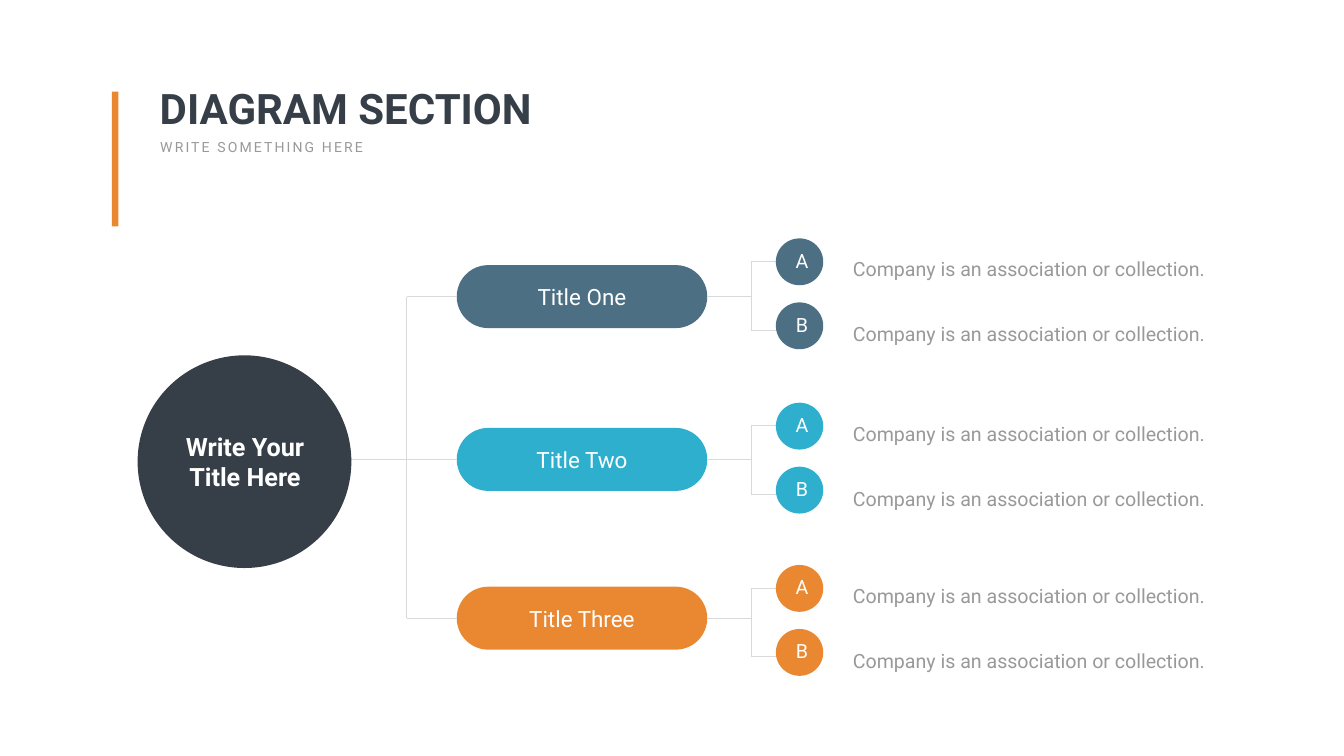
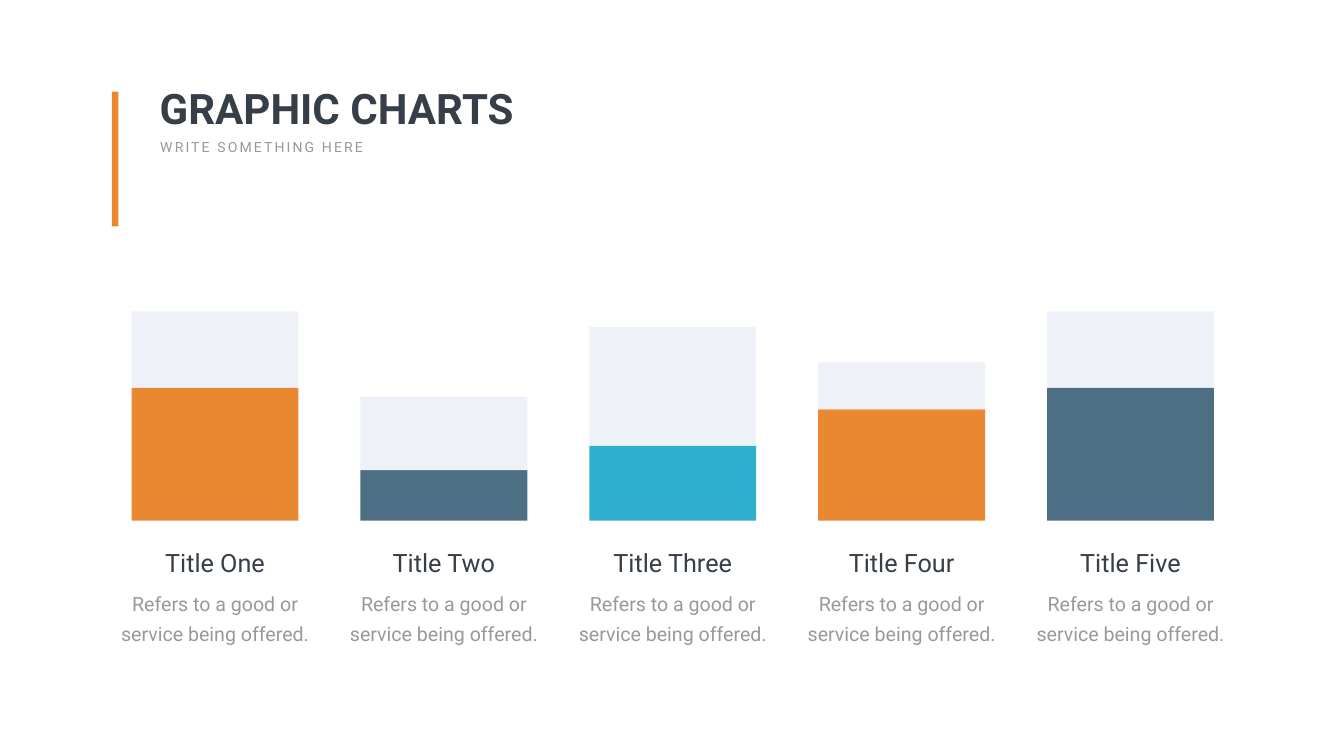
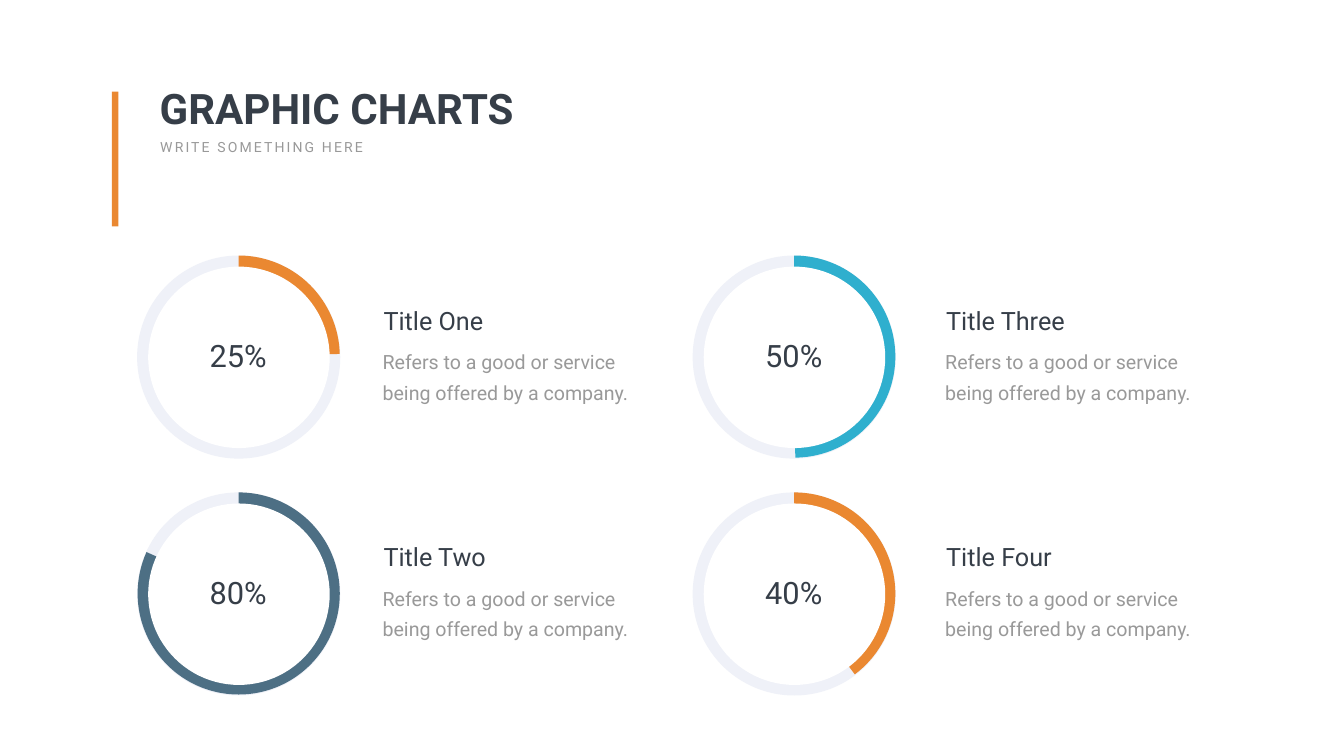
from lxml.etree import SubElement
from pptx import Presentation
from pptx.dml.color import RGBColor
from pptx.enum.shapes import MSO_CONNECTOR, MSO_SHAPE
from pptx.enum.text import MSO_AUTO_SIZE, PP_ALIGN
from pptx.oxml.ns import qn
from pptx.util import Emu, Pt

PX = 9144  # 100 px to the inch
FONT = "Roboto"
DARK = RGBColor(0x36, 0x3E, 0x48)
GREY = RGBColor(0x99, 0x99, 0x99)
RULE = RGBColor(0xD9, 0xD9, 0xD9)
PALE = RGBColor(0xEF, 0xF1, 0xF8)
WHITE = RGBColor(0xFF, 0xFF, 0xFF)
ORANGE = RGBColor(0xEA, 0x88, 0x31)
SLATE = RGBColor(0x4D, 0x6F, 0x84)
CYAN = RGBColor(0x2F, 0xAF, 0xCE)

# Text styles shared by the slides
TITLE = dict(size=Pt(60), bold=True, color=DARK)
SUBTITLE = dict(size=Pt(20), color=GREY)
HUB = dict(size=Pt(36), bold=True, color=WHITE)
PILL = dict(size=Pt(32), color=WHITE)
LETTER = dict(size=Pt(28), color=WHITE)
HEADING = dict(size=Pt(36), color=DARK)
PERCENT = dict(size=Pt(44), color=DARK)
BODY = dict(size=Pt(28), color=GREY)


def px(*lengths):
    return [Emu(round(n * PX)) for n in lengths]


def add_shape(s, kind, box, color):
    sp = s.shapes.add_shape(kind, *px(*box))
    sp.shadow.inherit = False
    sp.fill.solid()
    sp.fill.fore_color.rgb = color
    sp.line.fill.background()
    return sp


def add_text(s, box, text, style, align=PP_ALIGN.LEFT, wrap=True,
             spacing=None, track=0, inset=(10, 5)):
    tf = s.shapes.add_textbox(*px(*box)).text_frame
    dx, dy = px(*inset)
    frame = dict(word_wrap=wrap, auto_size=MSO_AUTO_SIZE.SHAPE_TO_FIT_TEXT,
                 margin_left=dx, margin_right=dx, margin_top=dy, margin_bottom=dy)
    for name, value in frame.items():
        setattr(tf, name, value)
    p = tf.paragraphs[0]
    p.alignment = align
    if spacing:
        p.line_spacing = spacing
    r = p.add_run()
    r.text = text
    r.font.name = FONT
    for name, value in style.items():
        if name == "color":
            r.font.color.rgb = value
        else:
            setattr(r.font, name, value)
    if track:
        r._r.get_or_add_rPr().set("spc", str(track * 100))


def add_line(s, x1, y1, x2, y2, width, begin=None, end=None):
    c = s.shapes.add_connector(MSO_CONNECTOR.STRAIGHT, *px(x1, y1, x2, y2))
    c.line.color.rgb = RULE
    c.line.width = Pt(width)
    SubElement(c._element.spPr, qn("a:effectLst"))
    if begin:
        c.begin_connect(*begin)
    if end:
        c.end_connect(*end)


def add_titled_slide(prs, title):
    s = prs.slides.add_slide(prs.slide_layouts[6])
    add_text(s, (307, 159, 1039, 111), title, TITLE)
    add_text(s, (308, 270, 435, 44), "WRITE SOMETHING HERE", SUBTITLE,
             wrap=False, track=3)
    add_shape(s, MSO_SHAPE.RECTANGLE, (222, 182, 13, 267), ORANGE)
    return s


def add_caption(s, x, y, w, heading, heading_w, body, align):
    """Heading with a paragraph beneath; the heading is inset from the body box."""
    inset = (w - heading_w) / 2 if align == PP_ALIGN.CENTER else 16
    add_text(s, (x, y + 70, w, 139), body, BODY, align, spacing=Pt(43), inset=(24, 12))
    add_text(s, (x + inset, y, heading_w, 71), heading, HEADING, align)


def add_branch(s, pill_y, node_y, title, color, trunk_x):
    """One pill with its two lettered nodes."""
    left, width, height = 906, 497, 125
    mid, right, fork = pill_y + height / 2, left + width, 1490
    pill = add_shape(s, MSO_SHAPE.ROUNDED_RECTANGLE, (left, pill_y, width, height), color)
    pill.adjustments[0] = 0.5
    add_text(s, (left + 50, pill_y + 31, width - 100, 64), title, PILL, PP_ALIGN.CENTER)

    # Lines into and out of the pill
    add_line(s, trunk_x, mid, left, mid, 1, end=(pill, 1))
    add_line(s, right, mid, fork, mid, 1.5, begin=(pill, 3))
    add_line(s, fork, node_y + 46, fork, node_y + 182, 1.5)

    # Lettered nodes
    for i, letter in enumerate("AB"):
        y = node_y + 127 * i
        line_y = node_y + 46 + 136 * i
        add_line(s, fork, line_y, 1575, line_y, 1.5)
        add_shape(s, MSO_SHAPE.OVAL, (1539, y, 94, 93), color)
        add_text(s, (1564, y + 15, 54, 57), letter, LETTER, PP_ALIGN.CENTER,
                 wrap=False, track=6)
        add_text(s, (1682, node_y + 9 + 129 * i, 743, 73),
                 "Company is an association or collection.", BODY, spacing=1.5)
    return mid


def build_diagram(prs):
    s = add_titled_slide(prs, "DIAGRAM SECTION")
    trunk_x = 807
    branches = [(526, 473, "Title One", SLATE),
                (849, 799, "Title Two", CYAN),
                (1164, 1121, "Title Three", ORANGE)]
    mids = [add_branch(s, *branch, trunk_x) for branch in branches]
    add_line(s, trunk_x, mids[0], trunk_x, mids[-1], 1)
    add_line(s, 637, mids[1], trunk_x, mids[1], 1)
    # Hub
    add_shape(s, MSO_SHAPE.OVAL, (273, 705, 424, 422), DARK)
    add_text(s, (336, 851, 300, 131), "Write Your Title Here", HUB, PP_ALIGN.CENTER)


def add_bar(s, x, top, split, title, color):
    bottom, width = 1033, 331
    add_shape(s, MSO_SHAPE.RECTANGLE, (x, split, width, bottom - split), color)
    add_shape(s, MSO_SHAPE.RECTANGLE, (x, top, width, split - top), PALE)
    add_caption(s, x - 48, 1080, 427, title, 411,
                "Refers to a good or service being offered.", PP_ALIGN.CENTER)


def build_bars(prs):
    s = add_titled_slide(prs, "GRAPHIC CHARTS")
    bars = [(618, 769, "Title One", ORANGE),
            (787, 933, "Title Two", SLATE),
            (649, 884, "Title Three", CYAN),
            (719, 812, "Title Four", ORANGE),
            (618, 769, "Title Five", SLATE)]
    for i, bar in enumerate(bars):
        add_bar(s, 261 + 454 * i, *bar)


def add_ring(s, x, y, text_x, percent, end_angle, title, color):
    add_shape(s, MSO_SHAPE.OVAL, (x, y, 403, 403), PALE)
    pie = add_shape(s, MSO_SHAPE.PIE, (x + 1, y, 401, 401), color)
    for i, angle in enumerate((270, end_angle)):
        pie.adjustments[i] = angle * 0.6  # 60000ths of a degree, over 100000
    add_shape(s, MSO_SHAPE.OVAL, (x + 22, y + 22, 360, 360), WHITE)
    add_text(s, (x + 133, y + 156, 135, 84), percent, PERCENT, PP_ALIGN.CENTER, wrap=False)
    add_caption(s, text_x, y + 93, 598, title, 541,
                "Refers to a good or service being offered by a company.", PP_ALIGN.LEFT)


def build_rings(prs):
    s = add_titled_slide(prs, "GRAPHIC CHARTS")
    columns = [(272, 735), (1374, 1851)]
    rings = [("25%", 358.5, "Title One", ORANGE),
             ("80%", 204.2, "Title Two", SLATE),
             ("50%", 89.4, "Title Three", CYAN),
             ("40%", 53.2, "Title Four", ORANGE)]
    for i, ring in enumerate(rings):
        col, row = divmod(i, 2)
        x, text_x = columns[col]
        add_ring(s, x, 507 + 470 * row, text_x, *ring)


def main():
    prs = Presentation()
    prs.slide_width, prs.slide_height = px(2666, 1500)
    for build in (build_diagram, build_bars, build_rings):
        build(prs)
    prs.save("out.pptx")


if __name__ == "__main__":
    main()
